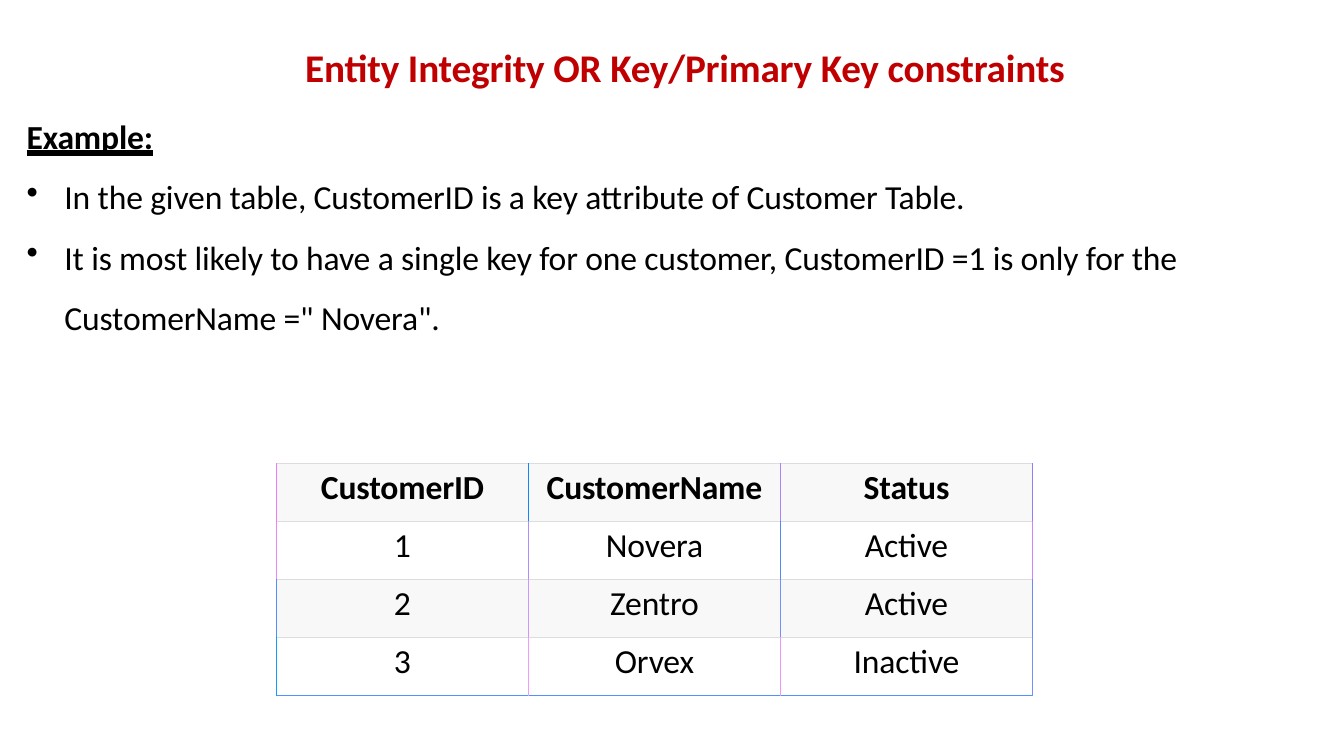
import pptx
import pptx.dml.color
import pptx.enum.text
import pptx.oxml
import pptx.oxml.ns
import pptx.util
from pptx.util import Pt

FONT = "Calibri"
GRID = "DDDDDD"
CUSTOMERS = [
    ["CustomerID", "CustomerName", "Status"],
    ["1", "Novera", "Active"],
    ["2", "Zentro", "Active"],
    ["3", "Orvex", "Inactive"],
]
# Colours of the four vertical edges in each table row, left to right
EDGES = [
    ["EF78FD", "0F85FD", "AF82FD", "907CFD"],
    ["EF83FD", "AF8DFD", "5089FD", "D083FD"],
    ["508FFD", "D094FD", "6F91FD", "6F87FD"],
    ["0F9DFD", "EF9AFD", "EF95FD", "6F91FD"],
]
BOTTOM_EDGE = "5092FD"


def rgb(colour):
    return pptx.dml.color.RGBColor.from_string(colour)


def write(paragraph, text, size=24, colour="000000", bold=False, before=0):
    paragraph.text = text
    paragraph.space_before = Pt(before)
    run = paragraph.runs[0]
    run.font.name = FONT
    run.font.size = Pt(size)
    run.font.bold = bold
    run.font.color.rgb = rgb(colour)
    run._r.get_or_add_rPr().set("spc", "-10")
    return run


def indent(paragraph, margin, first=0, bullet=None):
    properties = paragraph._p.get_or_add_pPr()
    properties.set("marL", str(Pt(margin)))
    properties.set("indent", str(Pt(first)))
    if bullet:
        mark = pptx.oxml.parse_xml(
            f'<a:buChar {pptx.oxml.ns.nsdecls("a")} char="{bullet}"/>')
        properties.append(mark)


def set_edge(cell, side, colour, width):
    edge = pptx.oxml.parse_xml(
        f'<a:ln{side} {pptx.oxml.ns.nsdecls("a")} w="{Pt(width)}">'
        f'<a:solidFill><a:srgbClr val="{colour}"/></a:solidFill></a:ln{side}>')
    cell._tc.get_or_add_tcPr().append(edge)


def add_explanation(slide, left, top, width, height):
    """Title, example heading and its two bullet points."""
    frame = slide.shapes.add_textbox(
        Pt(left), Pt(top), Pt(width), Pt(height)).text_frame
    frame.word_wrap = True
    frame.margin_left = frame.margin_right = frame.margin_bottom = 0
    frame.margin_top = Pt(1)

    title = frame.paragraphs[0]
    write(title, "Entity Integrity OR Key/Primary Key constraints",
          28, "C00000", True, 1)
    indent(title, 200)

    heading = frame.add_paragraph()
    heading_run = write(heading, "Example:", bold=True, before=18.1)
    heading_run.font.underline = pptx.enum.text.MSO_UNDERLINE.HEAVY_LINE
    indent(heading, 1)

    key_point = frame.add_paragraph()
    write(key_point, "In the given table, CustomerID is a key attribute of "
          "Customer Table.", before=14.4)
    indent(key_point, 28, -27, "•")

    single_key_point = frame.add_paragraph()
    write(single_key_point, "It is most likely to have a single key for one "
          "customer, CustomerID =1 is only for the "
          'CustomerName =" Novera".')
    single_key_point.line_spacing = 1.5
    indent(single_key_point, 28, -27, "•")


def add_customer_table(slide, left, top, width, height):
    row_count, column_count = len(CUSTOMERS), len(CUSTOMERS[0])
    table = slide.shapes.add_table(
        row_count, column_count,
        Pt(left), Pt(top), Pt(width), Pt(height)).table
    for column in table.columns:
        column.width = Pt(width / column_count)
    for row, customer in enumerate(CUSTOMERS):
        table.rows[row].height = Pt(height / row_count)
        last = row == row_count - 1
        for column, value in enumerate(customer):
            cell = table.cell(row, column)
            cell.margin_left = cell.margin_right = cell.margin_bottom = 0
            cell.margin_top = Pt(2.9)
            paragraph = cell.text_frame.paragraphs[0]
            write(paragraph, value, bold=row == 0, before=2.9)
            paragraph.alignment = pptx.enum.text.PP_ALIGN.CENTER
            set_edge(cell, "L", EDGES[row][column], 1)
            set_edge(cell, "R", EDGES[row][column + 1], 1)
            set_edge(cell, "T", GRID, 0.5)
            set_edge(cell, "B", BOTTOM_EDGE if last else GRID,
                     1 if last else 0.5)
            cell.fill.solid()
            cell.fill.fore_color.rgb = rgb("FFFFFF" if row % 2 else "F8F8F8")


def main():
    presentation = pptx.Presentation()
    presentation.slide_width = Pt(960)
    presentation.slide_height = Pt(540)
    slide = presentation.slides.add_slide(presentation.slide_layouts[6])
    add_explanation(slide, 18, 30, 857.5, 207)
    add_customer_table(slide, 197.5, 331, 540, 166)
    presentation.save("out.pptx")


if __name__ == "__main__":
    main()
